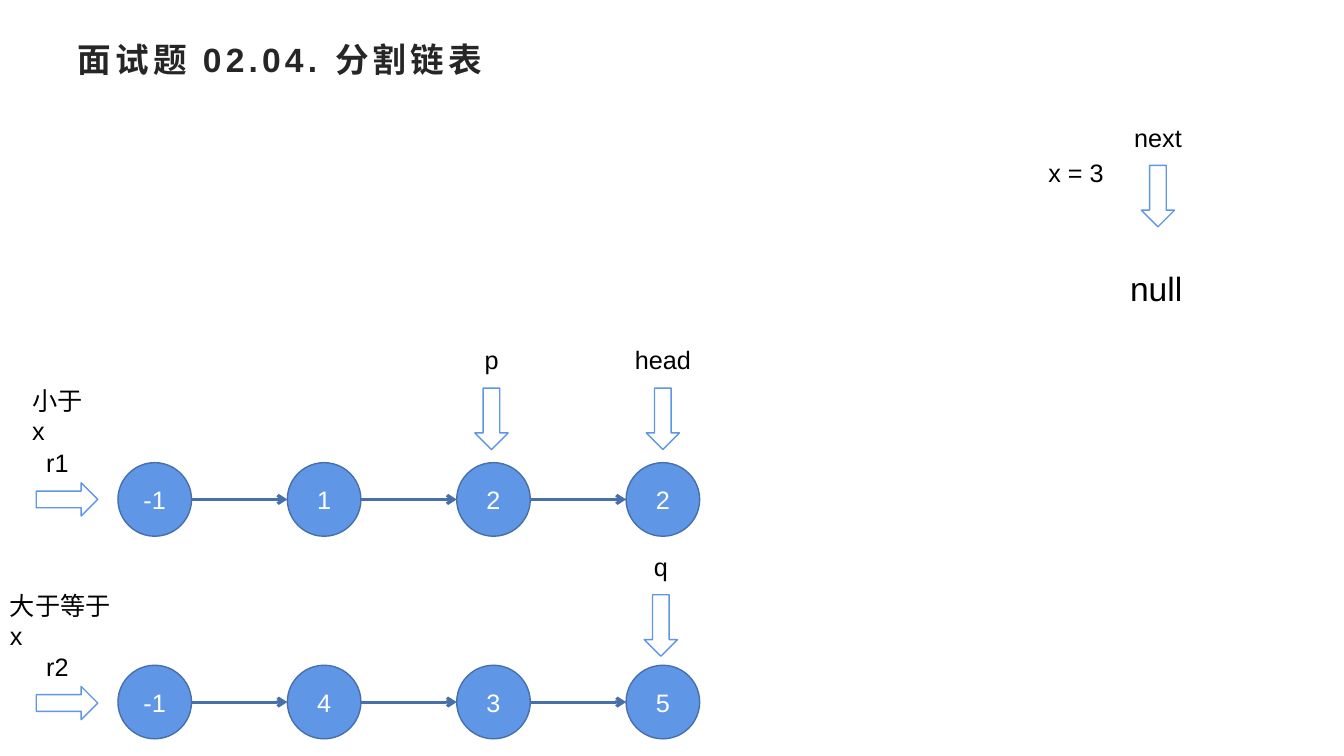
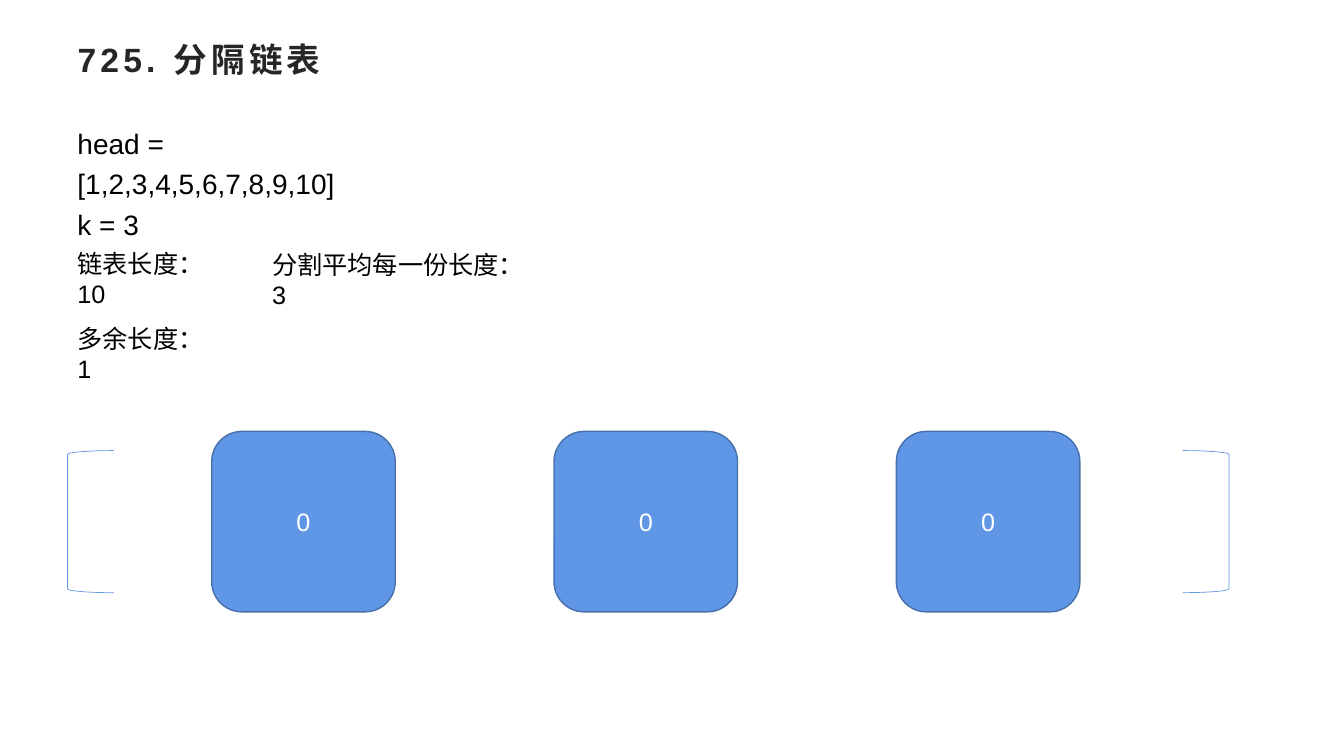
from pptx import Presentation
from pptx.dml.color import RGBColor
from pptx.enum import shapes, text
from pptx.oxml.ns import qn
from pptx.util import Inches, Pt
from lxml import etree

# Shared look
FONT = "Arial"
BLUE = RGBColor(0x60, 0x96, 0xE6)
EDGE = RGBColor(0x47, 0x6F, 0xAA)
WHITE = RGBColor(0xFF, 0xFF, 0xFF)
BLACK = RGBColor(0, 0, 0)
DARK = RGBColor(0x26, 0x26, 0x26)
KIND = shapes.MSO_SHAPE
LEFT, MID = text.PP_ALIGN.LEFT, text.PP_ALIGN.CENTER

# Linked lists: top of row, node values
CHAINS = [(4.59, ["-1", "1", "2", "2"]), (6.6, ["-1", "4", "3", "5"])]
NODE, START, STEP = 0.73, 1.17, 1.68
# Pointers: label, left and top of arrow
DOWN = [("next", 11.32, 1.64), ("p", 4.71, 3.85),
        ("head", 6.41, 3.85), ("q", 6.39, 5.9)]
ROOTS = [("r1", 0.36, 4.79), ("r2", 0.36, 6.81)]
LONG, THIN = 0.61, 0.33
# Notes: lines, left, top, width, size, line spacing
MARKS = [
    (["null"], 11.11, 2.61, 1.21, 24, 1),
    (["x = 3"], 10.3, 1.51, 0.85, 18, 1),
    (["小于x"], 0.22, 3.77, 0.75, 18, 1),
    (["大于等于x"], 0, 5.81, 1.25, 18, 1),
]
FACTS = [
    (["head = [1,2,3,4,5,6,7,8,9,10]", "k = 3"], 0.67, 1.14, 3.3, 20, 1.2),
    (["链表长度：10"], 0.67, 2.41, 1.6, 18, 1),
    (["分割平均每一份长度：3"], 2.6, 2.42, 2.75, 18, 1),
    (["多余长度：1"], 0.67, 3.16, 1.5, 18, 1),
]
# Array of parts
PARTS = ["0", "0", "0"]
FIRST, LAST = 2.1, 8.89
ENDS = [(KIND.LEFT_BRACKET, 0.67), (KIND.RIGHT_BRACKET, 11.73)]


def style(par, size, color, align=LEFT, bold=False):
    par.alignment = align
    font = par.font
    font.name, font.size, font.bold = FONT, Pt(size), bold
    font.color.rgb = color


def page(deck, words):
    slide = deck.slides.add_slide(deck.slide_layouts[5])
    title = slide.shapes.title
    title.left, title.top = Inches(0.67), Inches(0.2)
    title.width, title.height = Inches(12), Inches(0.77)
    frame = title.text_frame
    frame.text = words
    frame.vertical_anchor = text.MSO_ANCHOR.MIDDLE
    par = frame.paragraphs[0]
    style(par, 24, DARK, bold=True)
    par.runs[0]._r.get_or_add_rPr().set("spc", "300")
    return slide


def note(slide, lines, x, y, w, size=18, space=1, align=LEFT):
    box = slide.shapes.add_textbox(Inches(x), Inches(y), Inches(w), Inches(0.4))
    frame = box.text_frame
    frame.word_wrap = True
    frame.text = "\n".join(lines)
    for par in frame.paragraphs:
        style(par, size, BLACK, align)
        par.line_spacing = space


def shape(slide, kind, x, y, w, h, fill=None, edge=BLUE, width=1, words=""):
    item = slide.shapes.add_shape(kind, Inches(x), Inches(y), Inches(w), Inches(h))
    item.shadow.inherit = False
    if fill is None:
        item.fill.background()
    else:
        item.fill.solid()
        item.fill.fore_color.rgb = fill
    item.line.color.rgb = edge
    item.line.width = Pt(width)
    if words:
        frame = item.text_frame
        frame.margin_left = frame.margin_right = 0
        frame.vertical_anchor = text.MSO_ANCHOR.MIDDLE
        frame.text = words
        style(frame.paragraphs[0], 18, WHITE, MID)


def link(slide, x, y, end):
    line = slide.shapes.add_connector(shapes.MSO_CONNECTOR.STRAIGHT,
                                      Inches(x), Inches(y), Inches(end), Inches(y))
    line.line.color.rgb = EDGE
    line.line.width = Pt(2.25)
    etree.SubElement(line.line._get_or_add_ln(), qn("a:tailEnd")).set("type", "arrow")
    etree.SubElement(line._element.spPr, qn("a:effectLst"))


def lists(deck):
    slide = page(deck, "面试题 02.04. 分割链表")
    for mark in MARKS:
        note(slide, *mark)
    # Nodes and links
    for y, values in CHAINS:
        for i, value in enumerate(values):
            x = START + i * STEP
            shape(slide, KIND.OVAL, x, y, NODE, NODE, BLUE, EDGE, words=value)
            if i:
                link(slide, x - STEP + NODE, y + NODE / 2, x)
    # Pointers with labels
    for name, x, y in DOWN:
        shape(slide, KIND.DOWN_ARROW, x, y, THIN, LONG, WHITE)
        note(slide, [name], x - 0.23, y - 0.48, 0.79, align=MID)
    for name, x, y in ROOTS:
        shape(slide, KIND.RIGHT_ARROW, x, y, LONG, THIN, WHITE)
        note(slide, [name], x, y - 0.4, 0.47)


def parts(deck):
    slide = page(deck, "725. 分隔链表")
    for fact in FACTS:
        note(slide, *fact)
    # Brackets around evenly spaced boxes
    for kind, x in ENDS:
        shape(slide, kind, x, 4.47, 0.46, 1.41, width=0.5)
    step = (LAST - FIRST) / (len(PARTS) - 1)
    for i, value in enumerate(PARTS):
        shape(slide, KIND.ROUNDED_RECTANGLE, FIRST + i * step, 4.28, 1.82, 1.79,
              BLUE, EDGE, words=value)


def main():
    deck = Presentation()
    deck.slide_width, deck.slide_height = Inches(13.33), Inches(7.5)
    lists(deck)
    parts(deck)
    deck.save("out.pptx")


if __name__ == "__main__":
    main()
